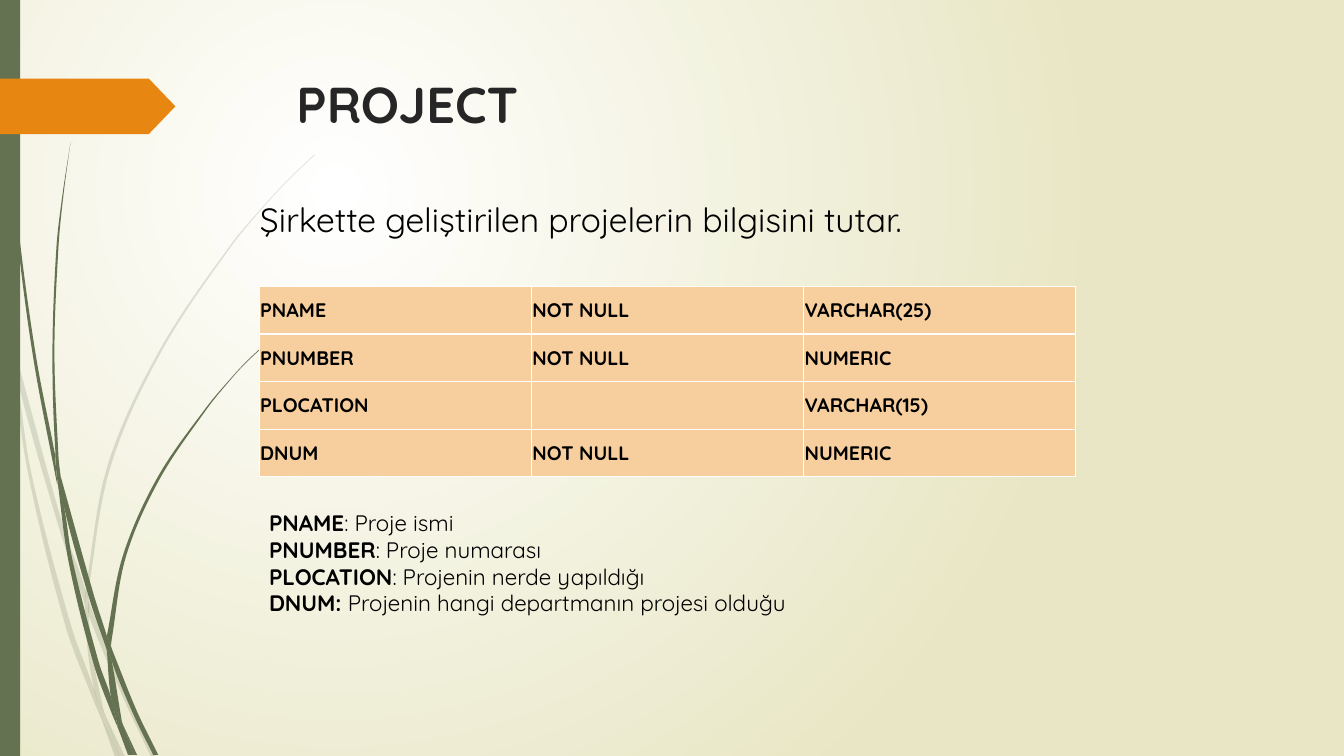
from math import hypot

from lxml.etree import SubElement
from pptx import Presentation
from pptx.dml.color import RGBColor
from pptx.enum.shapes import MSO_SHAPE as Shape
from pptx.enum.text import MSO_ANCHOR as Anchor, PP_ALIGN as Align
from pptx.oxml import parse_xml
from pptx.oxml.ns import nsdecls, qn
from pptx.util import Inches, Pt

FONT = "Quicksand"
WHITE = RGBColor(0xFF, 0xFF, 0xFF)
BLACK = RGBColor(0, 0, 0)
DARK = RGBColor(0x26, 0x26, 0x26)
CREAM = RGBColor(0xE8, 0xE6, 0xC4)
GREEN = RGBColor(0x64, 0x72, 0x52)
ORANGE = RGBColor(0xE7, 0x87, 0x12)
PEACH = RGBColor(0xF7, 0xCF, 0x9E)

TITLE = "PROJECT"
INTRO = "Şirkette geliştirilen projelerin bilgisini tutar."
FIELDS = [
    ("PNAME", "NOT NULL", "VARCHAR(25)"),
    ("PNUMBER", "NOT NULL", "NUMERIC"),
    ("PLOCATION", "", "VARCHAR(15)"),
    ("DNUM", "NOT NULL", "NUMERIC"),
]
NOTES = [
    ("PNAME", ": Proje ismi"),
    ("PNUMBER", ": Proje numarası"),
    ("PLOCATION", ": Projenin nerde yapıldığı"),
    ("DNUM: ", "Projenin hangi departmanın projesi olduğu"),
]

# Corners of each grass blade, in inches; the edges between them bend smoothly
PALE = [
    [(0.11, 3.5), (0.09, 3.22), (0, 2.82), (0, 2.99), (0.1, 3.44)],
    [(0.58, 5.22), (0.84, 5.99), (0.85, 5.86), (0.62, 5.2), (0.14, 3.45), (0.17, 3.76)],
    [(0.92, 6.07), (0.88, 5.96), (0.88, 6.1), (1.23, 6.94), (1.5, 7.51), (1.55, 7.51),
     (1.27, 6.92)],
    [(1.19, 7.51), (1.24, 7.51), (1.05, 7.11)],
    [(0.93, 6.83), (0.7, 6.19), (0.31, 4.69), (0.17, 3.76), (0.11, 3.5), (0.28, 4.7),
     (0.65, 6.21), (0.92, 6.93), (1.01, 7.14), (0.99, 7.07)],
    [(0.84, 5.99), (0.87, 6.46), (0.93, 6.83), (0.96, 6.92), (1.05, 7.11), (1.03, 7.06),
     (0.91, 6.46), (0.88, 6.1), (0.88, 6.08)],
    [(0.88, 5.84), (1.1, 4.62), (1.6, 3.49), (2.29, 2.45), (2.68, 1.98), (2.9, 1.75),
     (3.12, 1.54), (3.12, 1.53), (2.89, 1.75), (2.68, 1.97), (2.28, 2.44), (1.58, 3.48),
     (1.07, 4.61), (0.85, 5.84), (0.85, 5.86), (0.88, 5.96)],
    [(1.01, 7.14), (1.14, 7.51), (1.19, 7.51)],
    [(0.88, 6.08), (0.88, 6.1), (0.88, 5.96), (0.85, 5.86), (0.84, 5.99)],
    [(0.96, 6.92), (0.93, 6.83), (0.99, 7.07), (1.01, 7.14), (1.19, 7.51), (1.05, 7.11)],
]
DEEP = [
    [(0.07, 1.1), (0.17, 2.33), (0.33, 3.55), (0.56, 4.77), (0.57, 4.81), (0.55, 4.57),
     (0.55, 4.53), (0.36, 3.55), (0.19, 2.32), (0.08, 1.09), (0.05, 0.48), (0.04, 0),
     (0.03, 0), (0.04, 0.48)],
    [(0.88, 5.92), (1.06, 6.45), (1.06, 6.33), (1.06, 6.31), (0.93, 5.9), (0.6, 4.72),
     (0.64, 5.05)],
    [(1.13, 6.49), (1.1, 6.41), (1.11, 6.56), (1.32, 7.08), (1.52, 7.49), (1.57, 7.49),
     (1.36, 7.06)],
    [(1.1, 6.91), (0.98, 6.57), (0.72, 5.56), (0.64, 5.05), (0.57, 4.77), (0.68, 5.57),
     (0.93, 6.59), (1.11, 7.08), (1.17, 7.22), (1.16, 7.17)],
    [(0.6, 4.72), (0.58, 4.53), (0.54, 3.49), (0.58, 2.45), (0.63, 1.93), (0.7, 1.41),
     (0.62, 1.93), (0.56, 2.45), (0.52, 3.49), (0.55, 4.49)],
    [(1.33, 7.49), (1.36, 7.49), (1.22, 7.19)],
    [(0.57, 4.77), (0.64, 5.05), (0.6, 4.72), (0.55, 4.49), (0.55, 4.53)],
    [(1.11, 6.33), (1.25, 5.52), (1.58, 4.76), (2.05, 4.06), (2.31, 3.74), (2.45, 3.59),
     (2.61, 3.44), (2.6, 3.44), (2.45, 3.58), (2.31, 3.73), (2.04, 4.05), (1.56, 4.74),
     (1.22, 5.51), (1.06, 6.31), (1.1, 6.41)],
    [(1.17, 7.22), (1.27, 7.49), (1.31, 7.49)],
    [(1.06, 6.45), (1.1, 6.91), (1.16, 7.06), (1.22, 7.19), (1.21, 7.16), (1.11, 6.56),
     (1.09, 6.51)],
    [(1.06, 6.45), (1.09, 6.51), (1.11, 6.56), (1.1, 6.41), (1.06, 6.31), (1.06, 6.33)],
    [(1.16, 7.06), (1.1, 6.91), (1.16, 7.17), (1.17, 7.22), (1.3, 7.49), (1.33, 7.49),
     (1.22, 7.19)],
]


def aim(a, b):
    """Return the unit direction from a to b."""
    far = hypot(b[0] - a[0], b[1] - a[1])
    return (b[0] - a[0]) / far, (b[1] - a[1]) / far


def bend(knots):
    """Return Bezier points around the knots, keeping sharp turns sharp."""
    size = len(knots)
    turns = []
    for i, knot in enumerate(knots):
        back, ahead = knots[i - 1], knots[(i + 1) % size]
        come, leave = aim(back, knot), aim(knot, ahead)
        if come[0] * leave[0] + come[1] * leave[1] > 0.9:
            come = leave = aim(back, ahead)
        turns.append((come, leave))
    points = []
    for i, (x, y) in enumerate(knots):
        j = (i + 1) % size
        u, v = knots[j]
        reach = hypot(u - x, v - y) / 3
        leave, come = turns[i][1], turns[j][0]
        points += [(x + leave[0] * reach, y + leave[1] * reach),
                   (u - come[0] * reach, v - come[1] * reach), (u, v)]
    return points


def paint(shape, color):
    shape.shadow.inherit = False
    shape.fill.solid()
    shape.fill.fore_color.rgb = color
    shape.line.fill.background()


def draw_blade(shapes, knots, alpha=100):
    pen = shapes.build_freeform(*map(Inches, knots[0]), scale=1.0)
    pen.add_line_segments([(Inches(x), Inches(y)) for x, y in bend(knots)])
    blade = pen.convert_to_shape()
    paint(blade, GREEN)
    lines = list(blade.element.iter(qn("a:lnTo")))
    for trio in zip(lines[::3], lines[1::3], lines[2::3]):
        curve = SubElement(trio[0].getparent(), qn("a:cubicBezTo"))
        for line in trio:
            curve.append(line[0])
            line.getparent().remove(line)
    SubElement(curve.getparent(), qn("a:close"))
    if alpha < 100:
        tint = blade.element.spPr.find(qn("a:solidFill"))[0]
        SubElement(tint, qn("a:alpha"), val=str(alpha * 1000))


def write(para, text, size, bold=False, color=BLACK):
    para.alignment = Align.LEFT
    run = para.add_run()
    run.text = text
    font = run.font
    font.name, font.size, font.bold = FONT, Pt(size), bold
    font.color.rgb = color


def add_box(shapes, *place):
    frame = shapes.add_textbox(*map(Inches, place)).text_frame
    frame.word_wrap = True
    return frame


def rule_cell(cell):
    """Put a thin white line on all four sides of the cell."""
    props = cell._tc.get_or_add_tcPr()
    for i, side in enumerate("LRTB"):
        props.insert(i, parse_xml(
            f'<a:ln{side} {nsdecls("a")} w="{Pt(1)}"><a:solidFill>'
            f'<a:srgbClr val="{WHITE}"/></a:solidFill></a:ln{side}>'))


def set_back(slide):
    fill = slide.background.fill
    fill.gradient()
    for stop, color, place in zip(fill.gradient_stops, (WHITE, CREAM), (0, 1)):
        stop.color.rgb, stop.position = color, place
    grad = slide.element.find(".//" + qn("a:gradFill"))
    grad.replace(grad.find(qn("a:lin")), parse_xml(
        f'<a:path {nsdecls("a")} path="circle">'
        '<a:fillToRect l="50000" t="50000" r="100000" b="100000"/></a:path>'))


def add_fields(shapes):
    place = map(Inches, (2.57, 2.84, 8.1, 1.89))
    table = shapes.add_table(len(FIELDS), len(FIELDS[0]), *place).table
    table.first_row = table.horz_banding = False
    for r, row in enumerate(FIELDS):
        for c, text in enumerate(row):
            cell = table.cell(r, c)
            cell.fill.solid()
            cell.fill.fore_color.rgb = PEACH
            cell.vertical_anchor = Anchor.MIDDLE
            cell.margin_left = cell.margin_right = Inches(0.01)
            cell.margin_top = cell.margin_bottom = Inches(0.01)
            rule_cell(cell)
            if text:
                write(cell.text_frame.paragraphs[0], text, 14, bold=True)


def main():
    deck = Presentation()
    deck.slide_width, deck.slide_height = Inches(13.33), Inches(7.5)
    slide = deck.slides.add_slide(deck.slide_layouts[5])
    shapes = slide.shapes
    set_back(slide)

    for knots in PALE:
        draw_blade(shapes, knots, alpha=20)
    for knots in DEEP:
        draw_blade(shapes, knots)
    bar = shapes.add_shape(Shape.RECTANGLE, 0, 0, Inches(0.2), Inches(7.5))
    paint(bar, GREEN)
    tag = shapes.add_shape(Shape.PENTAGON, 0, Inches(0.78), Inches(1.74), Inches(0.55))
    tag.adjustments[0] = 0.48
    paint(tag, ORANGE)

    title = shapes.title
    title.left, title.top = Inches(2.84), Inches(0.68)
    title.width, title.height = Inches(9.75), Inches(1.4)
    title.text_frame.vertical_anchor = Anchor.TOP
    write(title.text_frame.paragraphs[0], TITLE, 36, bold=True, color=DARK)

    add_fields(shapes)
    intro = add_box(shapes, 2.48, 1.92, 8.19, 0.5)
    write(intro.paragraphs[0], INTRO, 24)
    notes = add_box(shapes, 2.57, 5, 8.1, 1.18)
    for i, (name, text) in enumerate(NOTES):
        para = notes.add_paragraph() if i else notes.paragraphs[0]
        write(para, name, 16, bold=True)
        write(para, text, 16)

    deck.save("out.pptx")


if __name__ == "__main__":
    main()
